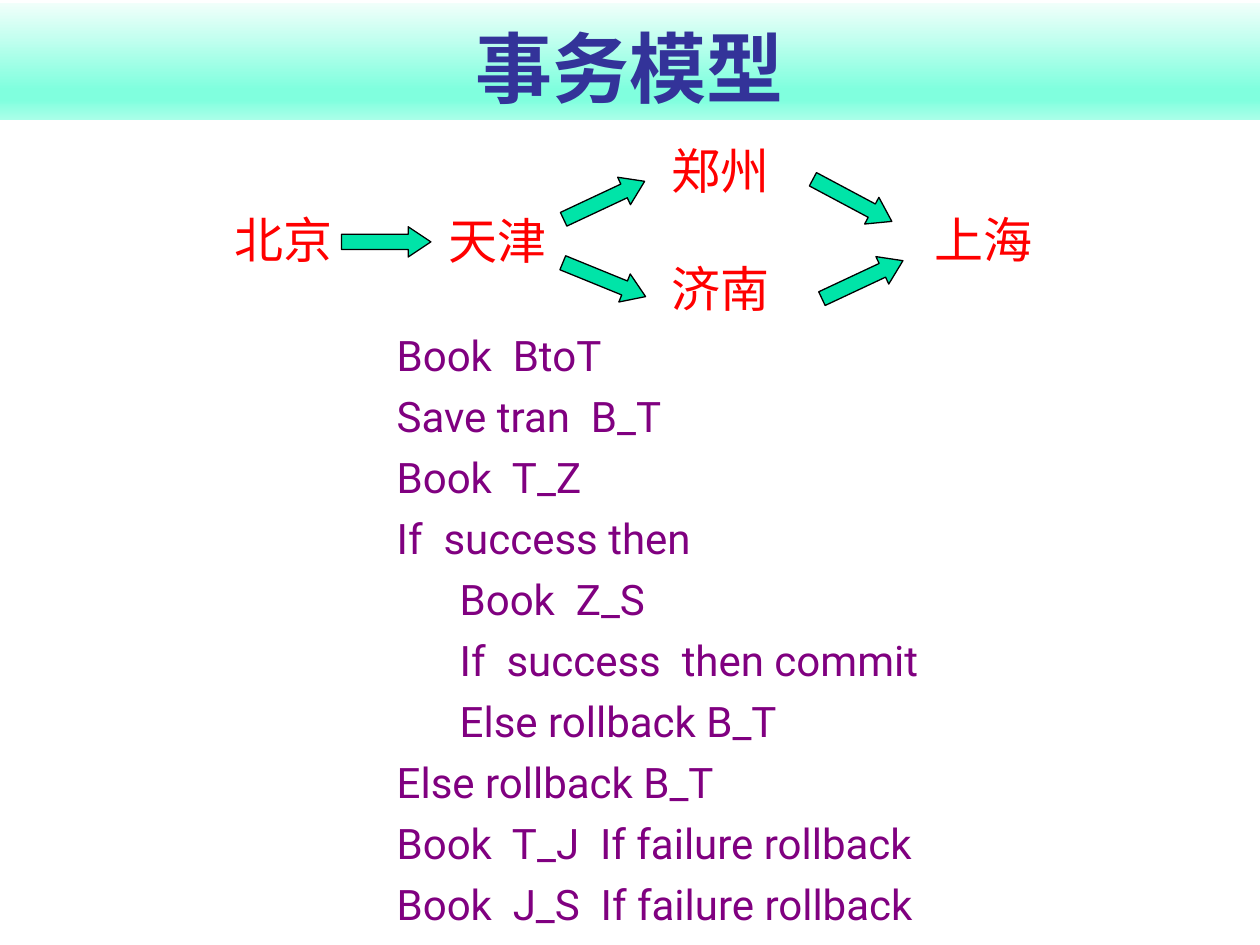
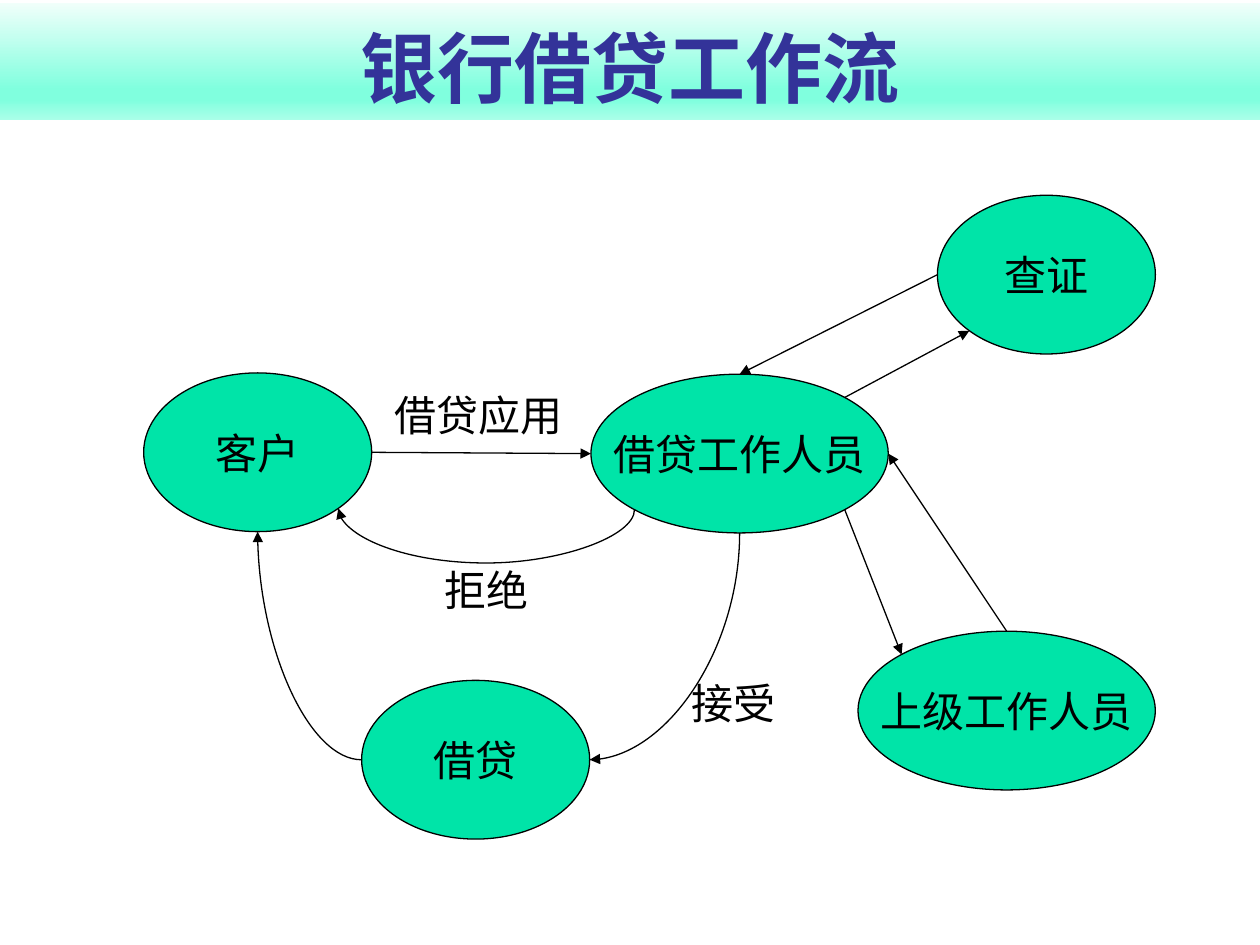
from math import cos, radians, sin

from lxml.etree import SubElement
from pptx import Presentation
from pptx.dml.color import RGBColor
from pptx.enum.shapes import MSO_CONNECTOR as Link, MSO_SHAPE as Preset
from pptx.enum.text import MSO_ANCHOR as Anchor, MSO_AUTO_SIZE as AutoSize, PP_ALIGN as Align
from pptx.oxml.ns import qn
from pptx.util import Inches, Pt

INDIGO = RGBColor(0x33, 0x33, 0x99)
RED = RGBColor(0xFF, 0x00, 0x00)
PURPLE = RGBColor(0x80, 0x00, 0x80)
GREEN = RGBColor(0x00, 0xE4, 0xA8)
BLACK = RGBColor(0x00, 0x00, 0x00)
MINT_WHITE = RGBColor(0xF1, 0xFF, 0xFB)
AQUA = RGBColor(0x80, 0xFF, 0xDE)
PALE_AQUA = RGBColor(0xAA, 0xFF, 0xE9)
BAND_STOPS = [(0, MINT_WHITE), (74, AQUA), (83, AQUA), (100, PALE_AQUA)]
FONT = "Roboto"
COLUMNS, ROWS = 100, 75
CELL = Inches(0.1)


def grid(*cells):
    return [round(cell * CELL) for cell in cells]


def write(frame, text, size, color, wrap=True):
    frame.text = text
    frame.word_wrap = wrap
    for para in frame.paragraphs:
        for span in para.runs:
            span.font.name = FONT
            span.font.size = Pt(size)
            span.font.color.rgb = color


deck = Presentation()
deck.slide_width, deck.slide_height = grid(COLUMNS, ROWS)

pages = []
for heading in ["事务模型", "银行借贷工作流"]:
    page = deck.slides.add_slide(deck.slide_layouts[5])
    title = page.shapes.title
    title.left, title.top, title.width, title.height = grid(0, 0.2, COLUMNS, 9.3)
    write(title.text_frame, heading, 44, INDIGO)
    title.text_frame.auto_size = AutoSize.NONE
    title.text_frame.vertical_anchor = Anchor.BOTTOM
    title.text_frame.paragraphs[0].alignment = Align.CENTER
    title.text_frame.paragraphs[0].runs[0].font.bold = True
    band = SubElement(title.element.spPr, qn("a:gradFill"), rotWithShape="1")
    stops = SubElement(band, qn("a:gsLst"))
    for share, color in BAND_STOPS:
        stop = SubElement(stops, qn("a:gs"), pos=str(share * 1000))
        SubElement(stop, qn("a:srgbClr"), val=str(color))
    SubElement(band, qn("a:lin"), ang=str(90 * 60000), scaled="1")
    pages.append(page)

route_page, workflow_page = pages

cities = [
    ("北京", 17.6, 16.1),
    ("天津", 34.6, 16.2),
    ("郑州", 52.3, 10.7),
    ("济南", 52.3, 20),
    ("上海", 73.2, 16.1),
]
for city, left, top in cities:
    box = route_page.shapes.add_textbox(*grid(left, top, 9.8, 5.7))
    write(box.text_frame, city, 28, RED, wrap=False)

flights = [
    (27.1, 18, 0),
    (44.4, 14.7, -25.1),
    (44.4, 21, 22.2),
    (64.1, 14.7, 28.1),
    (64.9, 21, -25.1),
]
for left, top, turn in flights:
    arrow = route_page.shapes.add_shape(Preset.RIGHT_ARROW, *grid(left, top, 7.1, 2.4))
    arrow.adjustments[0] = 0.5
    arrow.adjustments[1] = 0.75
    arrow.rotation = turn
    arrow.shadow.inherit = False
    arrow.fill.solid()
    arrow.fill.fore_color.rgb = GREEN
    arrow.line.color.rgb = BLACK
    arrow.line.width = Pt(0.75)

booking_steps = [
    "Book  BtoT",
    "Save tran  B_T",
    "Book  T_Z",
    "If  success then",
    "\tBook  Z_S",
    "\tIf  success  then commit",
    "\tElse rollback B_T",
    "Else rollback B_T",
    "Book  T_J  If failure rollback",
    "Book  J_S  If failure rollback",
]
box = route_page.shapes.add_textbox(*grid(30.5, 25.7, 51.9, 49))
write(box.text_frame, "\n".join(booking_steps), 24, PURPLE)
for para in box.text_frame.paragraphs[1:]:
    para.space_before = Pt(6)

roles = [
    ("借贷工作人员", 46.9, 29.7, 23.6),
    ("上级工作人员", 68.1, 50.1, 23.6),
    ("查证", 74.4, 15.5, 17.3),
    ("借贷", 28.7, 54, 18.1),
    ("客户", 11.4, 29.6, 18.1),
]
ovals = {}
for role, left, top, width in roles:
    oval = workflow_page.shapes.add_shape(Preset.OVAL, *grid(left, top, width, 12.6))
    oval.shadow.inherit = False
    oval.fill.solid()
    oval.fill.fore_color.rgb = GREEN
    oval.line.color.rgb = BLACK
    oval.line.width = Pt(0.75)
    write(oval.text_frame, role, 24, BLACK, wrap=False)
    oval.text_frame.vertical_anchor = Anchor.MIDDLE
    oval.text_frame.paragraphs[0].alignment = Align.CENTER
    ovals[role] = oval

TOP, TOP_LEFT, LEFT, BOTTOM_LEFT, BOTTOM, BOTTOM_RIGHT, RIGHT, TOP_RIGHT = range(8)
steps = [
    ("客户", RIGHT, "借贷工作人员", LEFT, "line", 0),
    ("借贷工作人员", BOTTOM_LEFT, "客户", BOTTOM_RIGHT, "curvedConnector3", 270),
    ("借贷工作人员", BOTTOM, "借贷", RIGHT, "curvedConnector2", 90),
    ("借贷", LEFT, "客户", BOTTOM, "curvedConnector2", 180),
    ("借贷工作人员", TOP_RIGHT, "查证", BOTTOM_LEFT, "line", 0),
    ("查证", LEFT, "借贷工作人员", TOP, "line", 0),
    ("借贷工作人员", BOTTOM_RIGHT, "上级工作人员", TOP_LEFT, "line", 0),
    ("上级工作人员", TOP, "借贷工作人员", RIGHT, "line", 0),
]
for source, source_site, target, target_site, outline, turn in steps:
    ends = []
    for role, site in [(source, source_site), (target, target_site)]:
        oval = ovals[role]
        angle = radians(90 + 45 * site)
        ends.append((
            oval.left + oval.width / 2 * (1 + cos(angle)),
            oval.top + oval.height / 2 * (1 - sin(angle)),
        ))
    (start_x, start_y), (end_x, end_y) = ends
    middle_x, middle_y = (start_x + end_x) / 2, (start_y + end_y) / 2
    half_x, half_y = (end_x - start_x) / 2, (end_y - start_y) / 2
    angle = radians(turn)
    reach_x = half_x * cos(angle) + half_y * sin(angle)
    reach_y = half_y * cos(angle) - half_x * sin(angle)
    kind = Link.STRAIGHT if outline == "line" else Link.CURVE
    link = workflow_page.shapes.add_connector(
        kind,
        round(middle_x - reach_x), round(middle_y - reach_y),
        round(middle_x + reach_x), round(middle_y + reach_y),
    )
    link.line.color.rgb = BLACK
    link.line.width = Pt(0.75)
    properties = link.element.spPr
    SubElement(properties.find(qn("a:ln")), qn("a:tailEnd"), type="triangle")
    SubElement(properties, qn("a:effectLst"))
    if turn:
        properties.find(qn("a:xfrm")).set("rot", str(turn * 60000))
    geometry = properties.find(qn("a:prstGeom"))
    geometry.set("prst", outline)
    if outline == "curvedConnector3":
        SubElement(geometry.find(qn("a:avLst")), qn("a:gd"), name="adj1", fmla="val -4300000")
    joints = link.element.find(".//" + qn("p:cNvCxnSpPr"))
    for tag, role, site in [("a:stCxn", source, source_site), ("a:endCxn", target, target_site)]:
        SubElement(joints, qn(tag), id=str(ovals[role].shape_id), idx=str(site))

captions = [
    ("接受", 53.9, 53.3, 10.2),
    ("拒绝", 34.3, 44.3, 10.2),
    ("借贷应用", 30.3, 30.4, 18.1),
]
for caption, left, top, width in captions:
    box = workflow_page.shapes.add_textbox(*grid(left, top, width, 5))
    write(box.text_frame, caption, 24, BLACK)

deck.save("out.pptx")
